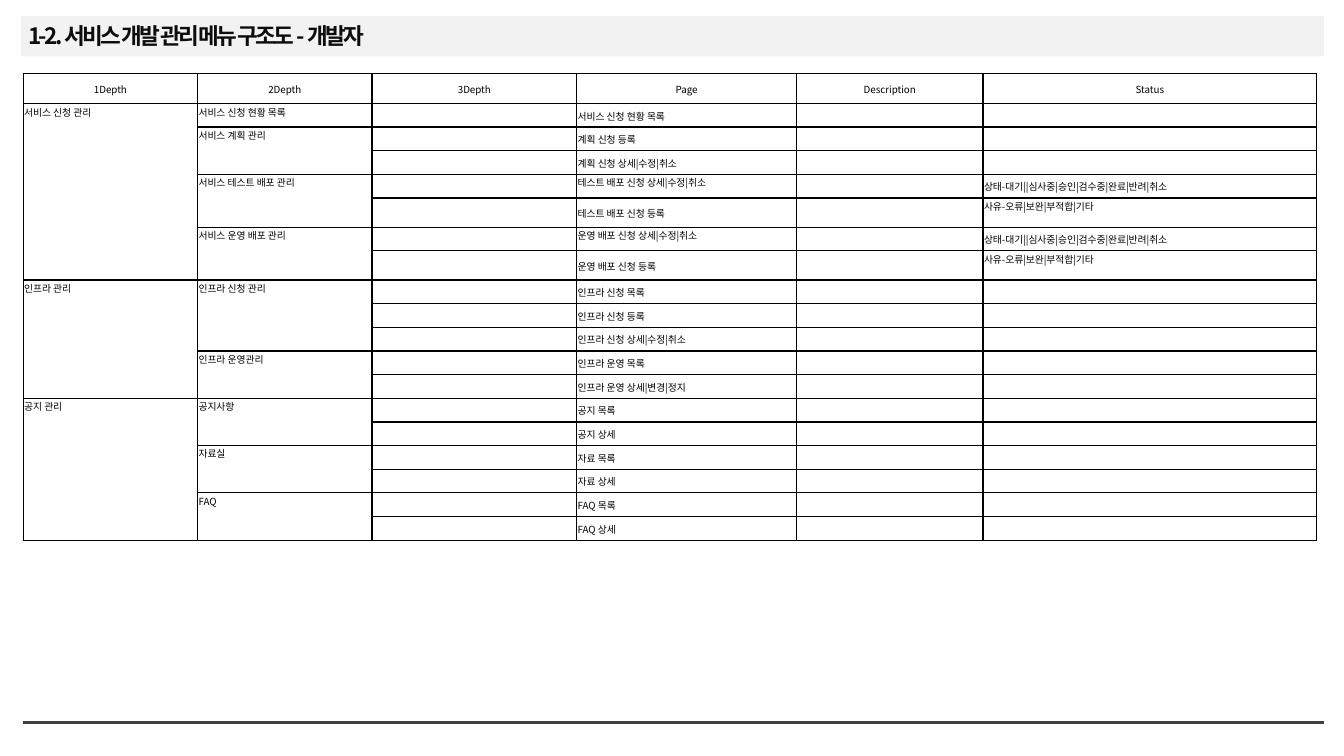
from lxml.etree import SubElement as Sub
from pptx import Presentation
from pptx.dml.color import RGBColor
from pptx.enum.shapes import MSO_CONNECTOR as Conn, MSO_SHAPE as Shape
from pptx.enum.text import MSO_ANCHOR as Anchor, MSO_AUTO_SIZE as Fit, PP_ALIGN as Align
from pptx.oxml.ns import qn
from pptx.util import Inches, Pt

BLACK = RGBColor(0, 0, 0)
WHITE = RGBColor(255, 255, 255)
INK = RGBColor(0x0D, 0x0D, 0x0D)
BAND = RGBColor(0xF2, 0xF2, 0xF2)
RULE = RGBColor(0x40, 0x40, 0x40)
FONT = "Noto Sans CJK KR"
SMALL = 7

HEADS = ["1Depth", "2Depth", "3Depth", "Page", "Description", "Status"]
COLS = [1.73, 1.73, 2.03, 2.18, 1.85, 3.31]
BASE = 0.47 / 2
ROWS = [0.3, 0.23] + [BASE] * 3 + [0.29, BASE, 0.29] + [BASE] * 11
STATE = "상태-대기||심사중|승인|검수중|완료|반려|취소"
CAUSE = "사유-오류|보완|부적합|기타"

# First depth, then second depth with its pages
MENU = {
    "서비스 신청 관리": {
        "서비스 신청 현황 목록": ["서비스 신청 현황 목록"],
        "서비스 계획 관리": ["계획 신청 등록", "계획 신청 상세|수정|취소"],
        "서비스 테스트 배포 관리": ["테스트 배포 신청 상세|수정|취소", "테스트 배포 신청 등록"],
        "서비스 운영 배포 관리": ["운영 배포 신청 상세|수정|취소", "운영 배포 신청 등록"],
    },
    "인프라 관리": {
        "인프라 신청 관리": ["인프라 신청 목록", "인프라 신청 등록", "인프라 신청 상세|수정|취소"],
        "인프라 운영관리": ["인프라 운영 목록", "인프라 운영 상세|변경|정지"],
    },
    "공지 관리": {
        "공지사항": ["공지 목록", "공지 상세"],
        "자료실": ["자료 목록", "자료 상세"],
        "FAQ": ["FAQ 목록", "FAQ 상세"],
    },
}
STAGED = ("서비스 테스트 배포 관리", "서비스 운영 배포 관리")


def add_run(para, text, size, color, bold=False):
    run = para.add_run()
    run.text = text
    font = run.font
    font.name, font.size, font.bold = FONT, Pt(size), bold
    font.color.rgb = color
    props = run._r.get_or_add_rPr()
    Sub(props, qn("a:ea"), typeface=FONT)
    return props


def add_head(slide, x, y, w, h):
    # Grey band behind the title
    band = slide.shapes.add_shape(Shape.RECTANGLE, Inches(x), Inches(y), Inches(w), Inches(h))
    band.shadow.inherit = False
    band.fill.solid()
    band.fill.fore_color.rgb = BAND
    band.line.fill.background()

    # Title
    title = slide.shapes.title
    title.element.addprevious(band.element)
    title.left, title.top = Inches(x + 0.02), Inches(y + 0.02)
    title.width, title.height = Inches(9.49), Inches(h - 0.02)
    frame = title.text_frame
    frame.word_wrap = True
    frame.auto_size = Fit.NONE
    frame.vertical_anchor = Anchor.MIDDLE
    frame.margin_left = frame.margin_right = Inches(0.05)
    frame.margin_top = frame.margin_bottom = Inches(0.05)
    para = frame.paragraphs[0]
    para.alignment = Align.LEFT
    para.line_spacing = 0.9
    para.space_before = Pt(0)
    props = add_run(para, "1-2. 서비스 개발 관리 메뉴 구조도 - 개발자", 16.1, INK, True)
    props.set("spc", "-190")


def style_cell(cell):
    cell.margin_left = cell.margin_right = cell.margin_top = Inches(0.01)
    cell.margin_bottom = 0
    props = cell._tc.get_or_add_tcPr()
    for side in ("lnL", "lnR", "lnT", "lnB"):
        line = Sub(props, qn("a:" + side), w=str(Pt(1)))
        fill = Sub(line, qn("a:solidFill"))
        Sub(fill, qn("a:srgbClr"), val=str(BLACK))
    cell.fill.solid()
    cell.fill.fore_color.rgb = WHITE
    # Small end mark keeps empty rows low
    para = cell.text_frame.paragraphs[0]
    Sub(para._p, qn("a:endParaRPr"), sz=str(SMALL * 100))


def put(cell, text, anchor=Anchor.TOP, align=Align.LEFT):
    cell.vertical_anchor = anchor
    para = cell.text_frame.paragraphs[0]
    para.alignment = align
    add_run(para, text, SMALL, BLACK)


def add_menu(slide, x, y, w, h):
    frame = slide.shapes.add_table(len(ROWS), len(COLS), Inches(x), Inches(y),
                                   Inches(w), Inches(h))
    table = frame.table
    table.first_row = table.horz_banding = False
    for col, width in zip(table.columns, COLS):
        col.width = Inches(width)
    for row, height in zip(table.rows, ROWS):
        row.height = Inches(height)
    for cell in table.iter_cells():
        style_cell(cell)

    # Header row
    for c, head in enumerate(HEADS):
        put(table.cell(0, c), head, Anchor.MIDDLE, Align.CENTER)

    # Menu tree: each depth spans the rows of its pages
    r = 1
    for first, groups in MENU.items():
        top = r
        for second, pages in groups.items():
            put(table.cell(r, 1), second)
            if len(pages) > 1:
                table.cell(r, 1).merge(table.cell(r + len(pages) - 1, 1))
            staged = second in STAGED
            if staged:
                put(table.cell(r, 5), STATE, Anchor.MIDDLE)
                put(table.cell(r + 1, 5), CAUSE)
            for i, page in enumerate(pages):
                high = staged and i == 0
                put(table.cell(r + i, 3), page, Anchor.TOP if high else Anchor.MIDDLE)
            r += len(pages)
        put(table.cell(top, 0), first)
        table.cell(top, 0).merge(table.cell(r - 1, 0))


def add_foot(slide, x, y, w):
    line = slide.shapes.add_connector(Conn.STRAIGHT, Inches(x), Inches(y),
                                      Inches(x + w), Inches(y))
    line.line.color.rgb = RULE
    line.line.width = Pt(2.25)
    Sub(line.element.spPr, qn("a:effectLst"))


def main():
    deck = Presentation()
    deck.slide_width, deck.slide_height = Inches(13.33), Inches(7.5)
    slide = deck.slides.add_slide(deck.slide_layouts[5])
    add_head(slide, 0.21, 0.16, 12.92, 0.4)
    add_menu(slide, 0.23, 0.73, sum(COLS), sum(ROWS))
    add_foot(slide, 0.23, 7.17, 12.9)
    deck.save("out.pptx")


if __name__ == "__main__":
    main()
